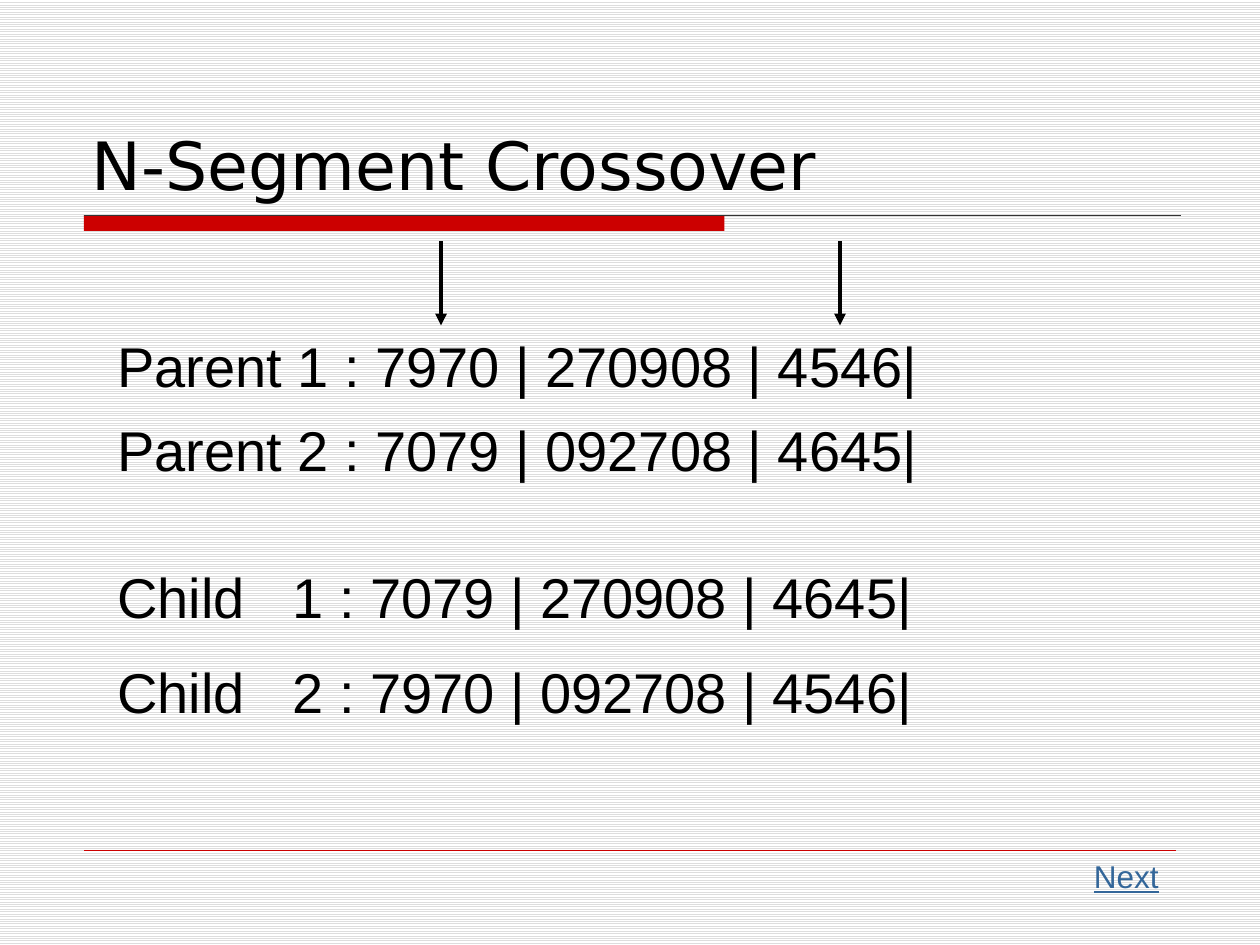
from dataclasses import dataclass

from lxml import etree
from pptx import Presentation
from pptx.dml.color import RGBColor as Color
from pptx.enum.dml import MSO_PATTERN as Pattern
from pptx.enum.shapes import MSO_CONNECTOR as Connector, MSO_SHAPE as Shape
from pptx.enum.text import MSO_ANCHOR as Anchor, MSO_AUTO_SIZE as AutoSize, PP_ALIGN as Align
from pptx.oxml.ns import qn
from pptx.util import Inches, Pt


@dataclass(frozen=True)
class Theme:
    ink: Color = Color(0x00, 0x00, 0x00)
    accent: Color = Color(0xCC, 0x00, 0x00)
    rule: Color = Color(0x33, 0x33, 0x33)
    link: Color = Color(0x33, 0x66, 0x99)
    stripe: Color = Color(0xDD, 0xDD, 0xDD)
    paper: Color = Color(0xFF, 0xFF, 0xFF)
    title_font: str = "DejaVu Sans"
    body_font: str = "Arial"
    title_size: Pt = Pt(38)
    body_size: Pt = Pt(32)
    link_size: Pt = Pt(18)


theme = Theme()
presentation = Presentation()
presentation.slide_width, presentation.slide_height = Inches(10), Inches(7.5)
unit = presentation.slide_width / 120  # square grid: 120 columns by 90 rows
slide = presentation.slides.add_slide(presentation.slide_layouts[5])


def add_line(start, end, color, width):
    points = [round(value * unit) for value in (*start, *end)]
    line = slide.shapes.add_connector(Connector.STRAIGHT, *points)
    line.line.color.rgb = color
    line.line.width = Pt(width)
    etree.SubElement(line._element.spPr, qn("a:effectLst"))
    return line


def add_text(text, box, size, color):
    shape = slide.shapes.add_textbox(*(round(value * unit) for value in box))
    shape.text_frame.word_wrap = True
    shape.text_frame.auto_size = AutoSize.SHAPE_TO_FIT_TEXT
    paragraph = shape.text_frame.paragraphs[0]
    paragraph.text = text
    if "\t" in text:
        tabs = etree.SubElement(paragraph._p.get_or_add_pPr(), qn("a:tabLst"))
        etree.SubElement(tabs, qn("a:tab"), pos=str(Inches(1.39)), algn="l")
    paragraph.font.name = theme.body_font
    paragraph.font.size = size
    paragraph.font.color.rgb = color
    return paragraph


# Striped background
background = slide.background.fill
background.patterned()
background.pattern = Pattern.LIGHT_HORIZONTAL
background.fore_color.rgb = theme.stripe
background.back_color.rgb = theme.paper

# Title
title = slide.shapes.title
title.left, title.top, title.width, title.height = (
    round(value * unit) for value in (7.5, 4, 105, 16))
title.text_frame.vertical_anchor = Anchor.BOTTOM
title.text_frame.auto_size = AutoSize.NONE
paragraph = title.text_frame.paragraphs[0]
paragraph.text = "N-Segment Crossover"
paragraph.alignment = Align.LEFT
paragraph.font.name = theme.title_font
paragraph.font.size = theme.title_size
paragraph.font.color.rgb = theme.ink

# Title bar and rules
bar = slide.shapes.add_shape(
    Shape.RECTANGLE, *(round(value * unit) for value in (8, 20.5, 61, 1.5)))
bar.shadow.inherit = False
bar.fill.solid()
bar.fill.fore_color.rgb = theme.accent
bar.line.fill.background()
add_line((8, 20.5), (112.5, 20.5), theme.rule, 0.75)
add_line((8, 81), (112, 81), theme.accent, 0.25)

# Chromosomes
chromosomes = {
    31: "Parent 1 : 7970 | 270908 | 4546|",
    39: "Parent 2 : 7079 | 092708 | 4645|",
    53: "Child\t1 : 7079 | 270908 | 4645|",
    62: "Child\t2 : 7970 | 092708 | 4546|",
}
for row, text in chromosomes.items():
    add_text(text, (10, row, 103, 7.5), theme.body_size, theme.ink)

# Arrows at the crossover points
for column in (42, 80):
    arrow = add_line((column, 23), (column, 31), theme.ink, 2.25)
    etree.SubElement(arrow.line._get_or_add_ln(), qn("a:tailEnd"), type="triangle")

# Navigation label
add_text("Next", (103, 81, 9, 4.8), theme.link_size, theme.link).font.underline = True

presentation.save("out.pptx")
